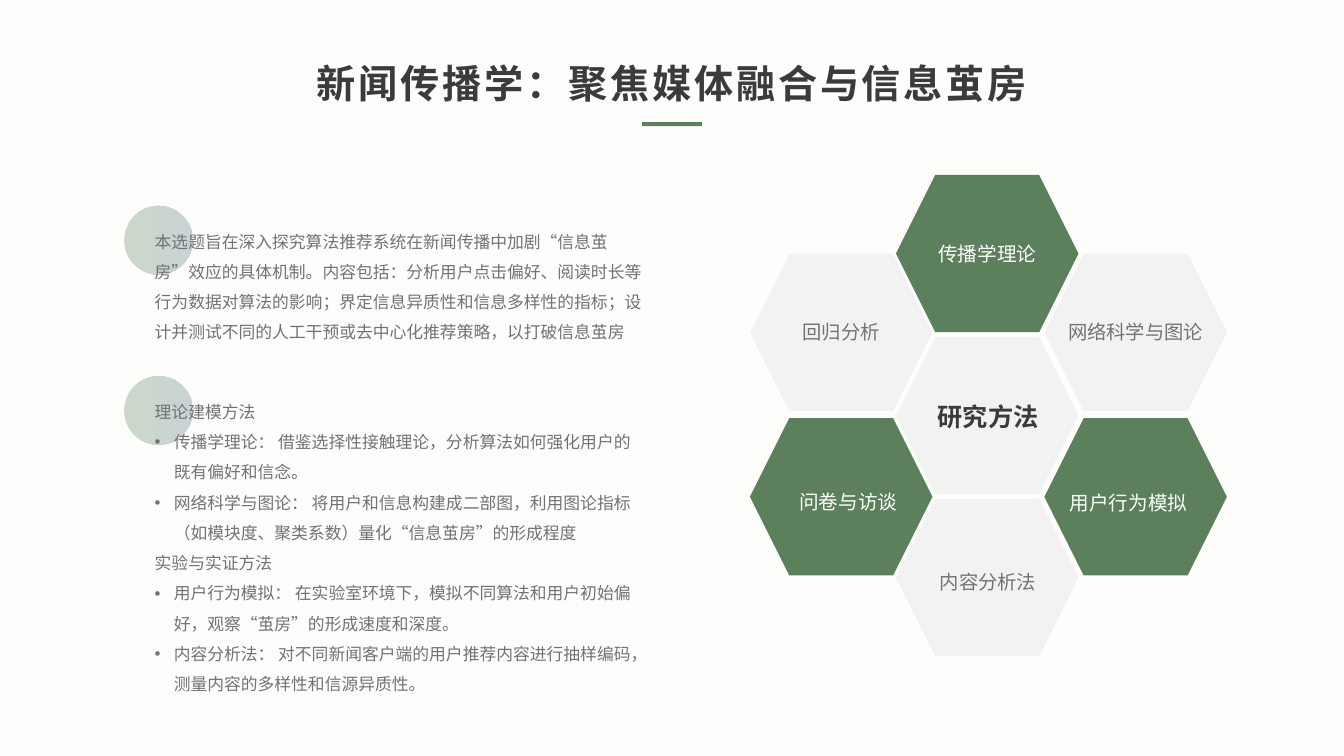
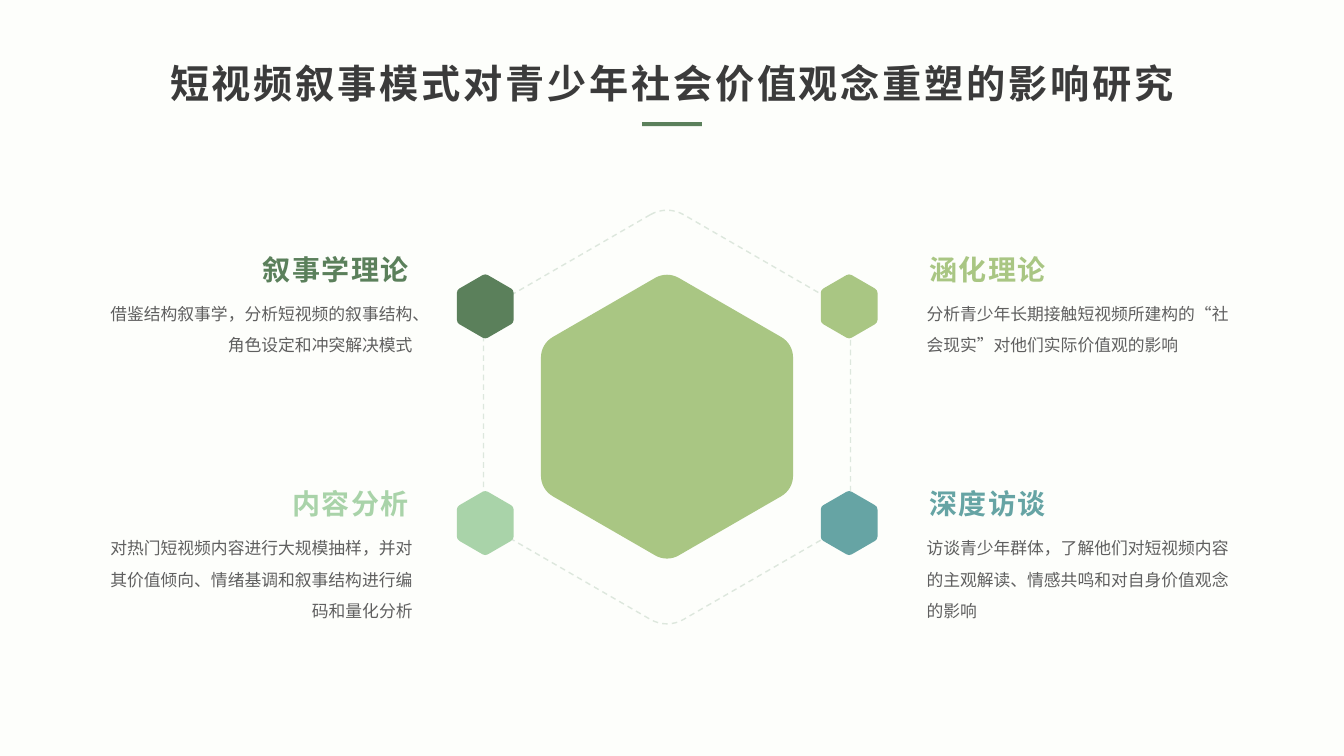
from math import cos, pi, sin, sqrt, tan

from lxml.etree import SubElement
from pptx import Presentation
from pptx.dml.color import RGBColor
from pptx.enum.dml import MSO_LINE
from pptx.enum.shapes import MSO_SHAPE
from pptx.enum.text import MSO_ANCHOR, MSO_AUTO_SIZE, PP_ALIGN
from pptx.oxml.ns import qn
from pptx.util import Cm, Pt

LEFT, MID, RIGHT = PP_ALIGN.LEFT, PP_ALIGN.CENTER, PP_ALIGN.RIGHT


def color(code):
    return RGBColor.from_string(code)


def write(frame, text, size=12, ink="727273", bold=False, align=LEFT,
          lead=None, track=0, face="Noto Sans CJK SC"):
    """Fill a frame with one paragraph per line; a leading • makes a bullet."""
    for num, line in enumerate(text.split("\n")):
        para = frame.paragraphs[0] if num == 0 else frame.add_paragraph()
        para.alignment = align
        if lead:
            para.line_spacing = lead
        if line.startswith("•"):
            line = line[1:]
            props = para._p.get_or_add_pPr()
            props.set("marL", str(Cm(0.48)))
            props.set("indent", str(-Cm(0.48)))
            SubElement(props, qn("a:buFont")).set("typeface", "Arial")
            SubElement(props, qn("a:buChar")).set("char", "•")
        run = para.add_run()
        run.text = line
        font = run.font
        font.size, font.bold, font.name = Pt(size), bold, face
        font.color.rgb = color(ink)
        props = run._r.get_or_add_rPr()
        SubElement(props, qn("a:ea")).set("typeface", face)
        if track:
            props.set("spc", str(track * 100))


class Deck:
    paper, dark, green = "FDFEFB", "3B3B3B", "5B805B"
    pale, gray, lime = "F2F2F2", "727372", "A9C683"
    mint, teal, dash = "A9D3A9", "66A4A4", "DDE7DD"
    slate, body = "52717B", "5F5F5F"

    def __init__(self):
        self.file = Presentation()
        self.file.slide_width, self.file.slide_height = Cm(33.87), Cm(19.05)

    def page(self, title):
        """Start a slide with its background, title and short bar."""
        self.slide = self.file.slides.add_slide(self.file.slide_layouts[6])
        back = self.slide.background.fill
        back.solid()
        back.fore_color.rgb = color(self.paper)
        self.text(3.59, 1.14, 26.7, 1.68, title, anchor=MSO_ANCHOR.MIDDLE,
                  size=28, ink=self.dark, bold=True, align=MID, lead=1.2, track=2)
        self.shape(MSO_SHAPE.RECTANGLE, 16.18, 3.08, 1.51, 0.1, self.green)

    def text(self, x, y, w, h, text, wrap=True, anchor=MSO_ANCHOR.TOP,
             inset=(0.25, 0.13), **form):
        box = self.slide.shapes.add_textbox(Cm(x), Cm(y), Cm(w), Cm(h))
        frame = box.text_frame
        frame.word_wrap, frame.vertical_anchor = wrap, anchor
        frame.auto_size = MSO_AUTO_SIZE.SHAPE_TO_FIT_TEXT
        frame.margin_left = frame.margin_right = Cm(inset[0])
        frame.margin_top = frame.margin_bottom = Cm(inset[1])
        write(frame, text, **form)

    def label(self, x, y, text, size, **form):
        """One line of text centred on a point."""
        w, h = len(text) * size * 0.0353 + 0.6, size * 0.045 + 0.21
        self.text(x - w / 2, y - h / 2, w, h, text, wrap=False,
                  size=size, align=MID, **form)

    def paint(self, shape, fill=None, line=None, width=1):
        shape.shadow.inherit = False
        if fill:
            shape.fill.solid()
            shape.fill.fore_color.rgb = color(fill)
        else:
            shape.fill.background()
        if line:
            shape.line.color.rgb = color(line)
            shape.line.width = Pt(width)
        else:
            shape.line.fill.background()
        return shape

    def shape(self, kind, x, y, w, h, fill):
        item = self.slide.shapes.add_shape(kind, Cm(x), Cm(y), Cm(w), Cm(h))
        return self.paint(item, fill)

    def dot(self, x, y, size):
        """A see-through circle that shades from green to slate."""
        dot = self.shape(MSO_SHAPE.OVAL, x, y, size, size, self.green)
        dot.fill.gradient()
        dot.fill.gradient_angle = 0
        for stop, code in zip(dot.fill.gradient_stops, (self.green, self.slate)):
            stop.color.rgb = color(code)
        for node in dot._element.spPr.iter(qn("a:srgbClr")):
            SubElement(node, qn("a:alpha")).set("val", "30000")

    def hex(self, x, y, w, **look):
        """A regular hexagon, point up, with rounded corners."""
        side = w / sqrt(3)
        curve = 0.09 * side / tan(pi / 6)
        reach = side - curve / cos(pi / 6)
        pull = 4 / 3 * tan(pi / 12)
        points = []
        for turn in range(-90, 270, 60):
            mid = turn * pi / 180
            # Start, two handles and end of the corner's curve
            for bend, grip in ((-1, 0), (-1, pull), (1, -pull), (1, 0)):
                arc = mid + bend * pi / 6
                across = cos(arc) - grip * sin(arc)
                down = sin(arc) + grip * cos(arc)
                points.append((Cm(x + reach * cos(mid) + curve * across),
                               Cm(y + reach * sin(mid) + curve * down)))
        draft = self.slide.shapes.build_freeform(*points[0])
        draft.add_line_segments(points[1:], close=True)
        form = draft.convert_to_shape()
        # Join each pair of handles and its end into one curve
        steps = list(form._element.iter(qn("a:lnTo")))
        for num in range(0, 24, 4):
            bow = SubElement(steps[num].getparent(), qn("a:cubicBezTo"))
            steps[num].addprevious(bow)
            for step in steps[num:num + 3]:
                bow.append(step[0])
                step.getparent().remove(step)
        return self.paint(form, **look)


def media(deck):
    deck.page("新闻传播学：聚焦媒体融合与信息茧房")

    # Honeycomb: column, top, fill, label, label shift
    cells = [
        (1, 4.41, deck.green, "传播学理论", 0, 0),
        (1, 8.49, deck.pale, "研究方法", 0.02, 0.03),
        (1, 12.57, deck.pale, "内容分析法", 0.02, 0.11),
        (0, 6.4, deck.pale, "回归分析", 0, -0.03),
        (2, 6.4, deck.pale, "网络科学与图论", 0, -0.03),
        (0, 10.54, deck.green, "问卷与访谈", 0.18, 0.11),
        (2, 10.54, deck.green, "用户行为模拟", -0.18, 0.13),
    ]
    wide, high = 4.6, 3.96
    lefts = (18.9, 22.58, 26.32)
    for col, top, fill, *_ in cells:
        deck.shape(MSO_SHAPE.HEXAGON, lefts[col], top, wide, high, fill)
    for col, top, fill, name, dx, dy in cells:
        core = name == "研究方法"
        if core:
            size, ink = 18, deck.dark
        elif fill == deck.green:
            size, ink = 14, "FFFFFF"
        else:
            size, ink = 13.8, deck.gray
        deck.label(lefts[col] + wide / 2 + dx, top + high / 2 + dy,
                   name, size, ink=ink, bold=core)

    # Topic and methods
    notes = [
        (5.19, 3.33, "本选题旨在深入探究算法推荐系统在新闻传播中加剧“信息茧房”效应的"
         "具体机制。内容包括：分析用户点击偏好、阅读时长等行为数据对算法的影响；"
         "界定信息异质性和信息多样性的指标；设计并测试不同的人工干预或去中心化"
         "推荐策略，以打破信息茧房"),
        (9.48, 7.95, "理论建模方法\n"
         "•传播学理论： 借鉴选择性接触理论，分析算法如何强化用户的既有偏好和信念。\n"
         "•网络科学与图论： 将用户和信息构建成二部图，利用图论指标"
         "（如模块度、聚类系数）量化“信息茧房”的形成程度\n"
         "实验与实证方法\n"
         "•用户行为模拟： 在实验室环境下，模拟不同算法和用户初始偏好，"
         "观察“茧房”的形成速度和深度。\n"
         "•内容分析法： 对不同新闻客户端的用户推荐内容进行抽样编码，"
         "测量内容的多样性和信源异质性。"),
    ]
    for top, high, text in notes:
        deck.dot(3.13, top, 1.73)
        deck.text(3.65, top + 0.26, 12.9, high, text, lead=1.5)


def video(deck):
    deck.page("短视频叙事模式对青少年社会价值观念重塑的影响研究")

    # Large hexagon and dashed ring
    x, y = 16.81, 10.5
    deck.hex(x, y, 6.3, fill=deck.lime, line=deck.lime, width=1.5)
    ring = deck.hex(x, y + 0.01, 9.25, line=deck.dash)
    ring.line.dash_style = MSO_LINE.DASH

    # Four themes: column, row, colour, heading, text
    themes = [
        (0, 0, deck.green, "叙事学理论",
         "借鉴结构叙事学，分析短视频的叙事结构、角色设定和冲突解决模式"),
        (0, 1, deck.mint, "内容分析",
         "对热门短视频内容进行大规模抽样，并对其价值倾向、情绪基调和叙事结构"
         "进行编码和量化分析"),
        (1, 0, deck.lime, "涵化理论",
         "分析青少年长期接触短视频所建构的“社会现实”对他们实际价值观的影响"),
        (1, 1, deck.teal, "深度访谈",
         "访谈青少年群体，了解他们对短视频内容的主观解读、情感共鸣和对自身"
         "价值观念的影响"),
    ]
    for col, row, tint, head, text in themes:
        deck.hex(12.23 + col * 9.17, 7.72 + row * 5.46, 1.43, fill=tint)
        left, top = 2.55 + col * 20.62, 6.32 + row * 5.9
        align = LEFT if col else RIGHT
        deck.text(left, top, 8, 1.02, head, anchor=MSO_ANCHOR.MIDDLE, size=20,
                  ink=tint, bold=True, align=align, lead=0.9, track=1)
        deck.text(left, top + 0.93, 8.03, 1.8 + row * 0.82, text,
                  inset=(0.18, 0.1), ink=deck.body, align=align, lead=1.58)


def main():
    deck = Deck()
    media(deck)
    video(deck)
    deck.file.save("out.pptx")


if __name__ == "__main__":
    main()
